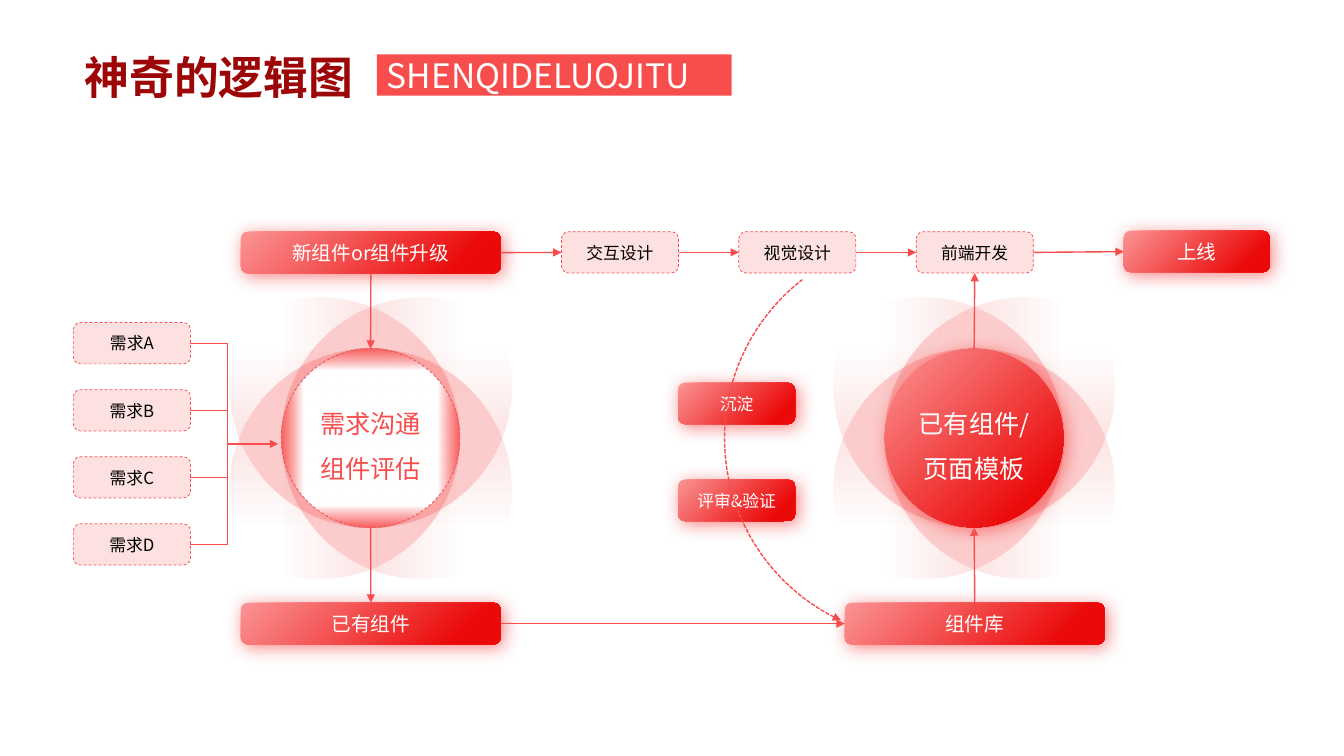
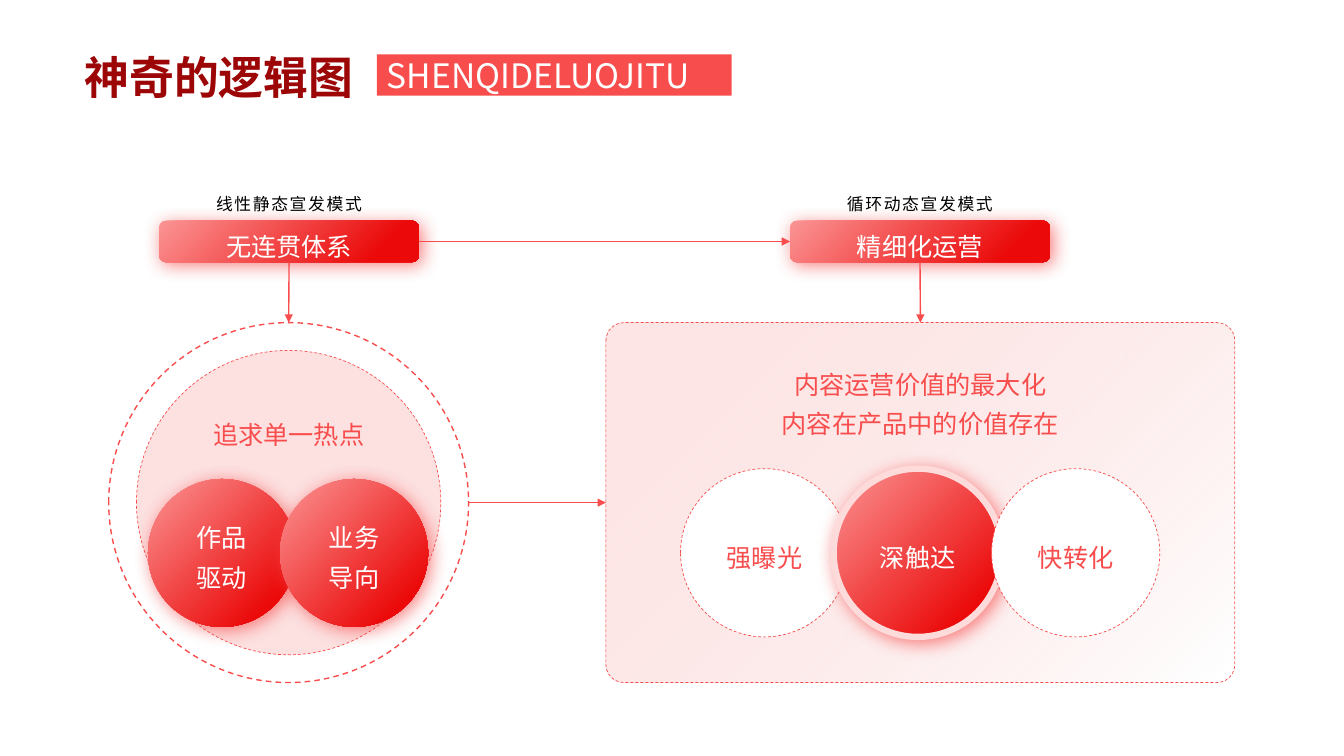
from lxml import etree
from pptx import Presentation
from pptx.dml.color import RGBColor
from pptx.enum.dml import MSO_LINE
from pptx.enum.shapes import MSO_CONNECTOR, MSO_SHAPE
from pptx.enum.text import MSO_ANCHOR, PP_ALIGN
from pptx.oxml.ns import qn
from pptx.util import Cm, Pt

ROUNDED, OVAL, RECT, ARC = (MSO_SHAPE.ROUNDED_RECTANGLE, MSO_SHAPE.OVAL,
                            MSO_SHAPE.RECTANGLE, MSO_SHAPE.ARC)
STRAIGHT = MSO_CONNECTOR.STRAIGHT
DASH, FINE_DASH = MSO_LINE.DASH, MSO_LINE.SQUARE_DOT
LEFT, CENTER = PP_ALIGN.LEFT, PP_ALIGN.CENTER
TOP, MIDDLE = MSO_ANCHOR.TOP, MSO_ANCHOR.MIDDLE

SC, JP = "Noto Sans CJK SC", "Noto Sans CJK JP"
COLORS = {
    "accent": "F84D4D", "deep": "9C0606", "light": "FB9494", "vivid": "EB0909",
    "blush": "FCB8B8", "halo": "FEDBDB", "white": "FFFFFF", "black": "000000",
}
RED = {"stops": [(0, "light", 100), (84, "vivid", 100)], "angle": 45}
PANEL = {"stops": [(0, "light", 24), (100, "vivid", 0)], "angle": 45}
GLOW = {"stops": [(75, "white", 100), (100, "accent", 77)], "angle": None}
TITLE = {"stops": [(0, "deep", 100), (100, "accent", 100)], "angle": 225}
PETAL_STOPS = [(0, "accent", 30), (63, "accent", 0)]

NODE = (2.95, 1.04)
BAR = (6.55, 1.05)
PETAL = 7.09


def rgb(name):
    """Return the named colour."""
    return RGBColor.from_string(COLORS[name])


def child(parent, tag, **attributes):
    """Append a drawing element with the given attributes."""
    element = etree.SubElement(parent, qn(f"a:{tag}"))
    for key, value in attributes.items():
        element.set(key, str(value))
    return element


def gradient(parent, stops, angle):
    """Append a linear gradient, or one along the outline if angle is None."""
    fill = child(parent, "gradFill", rotWithShape=1)
    stop_list = child(fill, "gsLst")
    for position, name, alpha in stops:
        stop = child(stop_list, "gs", pos=position * 1000)
        color = child(stop, "srgbClr", val=COLORS[name])
        if alpha < 100:
            child(color, "alpha", val=alpha * 1000)
    if angle is None:
        outline = child(fill, "path", path="shape")
        child(outline, "fillToRect", l=50000, t=50000, r=50000, b=50000)
    else:
        child(fill, "lin", ang=angle * 60000, scaled=0)
    return fill


def write(frame, text, size=12, font=JP, color="black", bold=False, align=CENTER,
          anchor=MIDDLE, spacing=1.0, tracking=0, inset=(0, 0), grade=None):
    """Fill a text frame, one paragraph per line of text."""
    frame.word_wrap = True
    frame.vertical_anchor = anchor
    frame.margin_left = frame.margin_right = Cm(inset[0])
    frame.margin_top = frame.margin_bottom = Cm(inset[1])
    for index, line in enumerate(text.split("\n")):
        paragraph = frame.add_paragraph() if index else frame.paragraphs[0]
        paragraph.alignment = align
        paragraph.line_spacing = spacing
        run = paragraph.add_run()
        run.text = line
        run.font.size, run.font.bold, run.font.name = Pt(size), bold, font
        properties = run.font._element
        if grade:
            properties.insert(0, gradient(properties, **grade))
        else:
            run.font.color.rgb = rgb(color)
        child(properties, "ea", typeface=font)
        if tracking:
            properties.set("spc", str(round(tracking * 100)))


def label(slide, box, text, **style):
    """Place free text in a box."""
    write(slide.shapes.add_textbox(*map(Cm, box)).text_frame, text, **style)


def part(slide, kind, box, fill=None, alpha=100, line=None, width=0.5, dash=None,
         shadow=False, text=None, **style):
    """Place a preset shape with its fill, outline, shadow and text."""
    shape = slide.shapes.add_shape(kind, *map(Cm, box))
    shape.shadow.inherit = False
    properties = shape.element.spPr
    if fill is None:
        shape.fill.background()
    else:
        shape.fill.solid()
        shape.fill.fore_color.rgb = rgb("accent" if isinstance(fill, dict) else fill)
        solid = properties.find(qn("a:solidFill"))
        if isinstance(fill, dict):
            properties.replace(solid, gradient(properties, **fill))
        elif alpha < 100:
            child(solid[0], "alpha", val=alpha * 1000)
    if line:
        shape.line.color.rgb = rgb(line)
        shape.line.width = Pt(width)
        if dash:
            shape.line.dash_style = dash
    else:
        shape.line.fill.background()
    if shadow:
        effects = properties.find(qn("a:effectLst"))
        outer = child(effects, "outerShdw", blurRad=Pt(13), dist=Pt(3),
                      dir=45 * 60000, algn="tl", rotWithShape=0)
        child(child(outer, "srgbClr", val=COLORS["accent"]), "alpha", val=70000)
    if text:
        write(shape.text_frame, text, **style)
    return shape


def red(slide, kind, box, text, **options):
    """Place a glowing red shape with white text."""
    part(slide, kind, box, RED, shadow=True, text=text, color="white", **options)
    return box


def pale(slide, kind, box, text=None):
    """Place a pale shape with a dashed outline."""
    part(slide, kind, box, "blush", 43, "accent", dash=DASH, text=text)
    return box


def edge(box, across, down):
    """Return the point at the given fractions of a box."""
    left, top, width, height = box
    return left + across * width, top + down * height


def link(slide, start, end, arrow=True):
    """Draw a straight line between two points."""
    connector = slide.shapes.add_connector(STRAIGHT, *map(Cm, (*start, *end)))
    connector.line.color.rgb = rgb("accent")
    connector.line.width = Pt(1)
    if arrow:
        child(connector.line._get_or_add_ln(), "tailEnd", type="triangle")
    child(connector.element.spPr, "effectLst")


def link_right(slide, source, target):
    """Draw an arrow from the right side of a box to the left of another."""
    link(slide, edge(source, 1, 0.5), edge(target, 0, 0.5))


def link_down(slide, source, target):
    """Draw an arrow from the bottom of a box to the top of another."""
    link(slide, edge(source, 0.5, 1), edge(target, 0.5, 0))


def link_up(slide, source, target):
    """Draw an arrow from the top of a box to the bottom of another."""
    link(slide, edge(source, 0.5, 0), edge(target, 0.5, 1))


def header(slide, box):
    """Place the title and the band beside it."""
    left, top, width, height = box
    label(slide, box, "神奇的逻辑图", size=32, font=SC, bold=True, align=LEFT,
          anchor=TOP, inset=(0.25, 0.13), grade=TITLE)
    part(slide, RECT, (left + 7.62, top + 0.25, 8.94, 1.04), "accent",
         text="SHENQIDELUOJITU", size=24, color="white", align=LEFT, inset=(0.25, 0))


def petals(slide, hub):
    """Place four fading petals around a hub."""
    left, top, side, _ = hub
    overhang = PETAL - side
    for across, down, angle in ((1, 0.5, 180), (0, 0.5, 0), (0.5, 0, 90), (0.5, 1, 270)):
        part(slide, OVAL, (left - across * overhang, top - down * overhang, PETAL, PETAL),
             {"stops": PETAL_STOPS, "angle": angle})


def demands(slide, box, target):
    """Stack the demands and gather them into one arrow."""
    left, top, width, height = box
    spine = left + width + 0.94
    pitch = (height - NODE[1]) / 3
    middles = []
    for index, letter in enumerate("ABCD"):
        demand = pale(slide, ROUNDED, (left, top + index * pitch, *NODE), f"需求{letter}")
        start = edge(demand, 1, 0.5)
        middles.append(start[1])
        link(slide, start, (spine, start[1]), arrow=False)
    link(slide, (spine, middles[0]), (spine, middles[-1]), arrow=False)
    center = edge(box, 0, 0.5)[1]
    link(slide, (spine, center), (target[0] - 0.08, center))


def deposit(slide, box):
    """Place the curve from design to library and its two steps."""
    left, top, _, _ = box
    for text, offset in (("沉淀", 3.66), ("评审&验证", 6.1)):
        red(slide, ROUNDED, (left - 1.17, top + offset, *NODE), text)
    curve = part(slide, ARC, box, line="accent", width=1, dash=FINE_DASH)
    curve.adjustments[0], curve.adjustments[1] = 68.86, 139.34
    child(curve.line._get_or_add_ln(), "headEnd", type="triangle")


def component_slide(slide):
    """Build the flow from demands to launch."""
    review, template = (7.09, 8.79, 4.5, 4.5), (22.3, 8.79, 4.5, 4.5)
    for hub in (review, template):
        petals(slide, hub)
    deposit(slide, (18.26, 5.99, 10.11, 10.11))
    part(slide, OVAL, review, GLOW, line="accent", dash=DASH, text="需求沟通\n组件评估",
         size=18, font=SC, color="accent", spacing=1.5)
    red(slide, OVAL, template, "已有组件/\n页面模板", size=18, font=SC, spacing=1.5)
    upgrade = red(slide, ROUNDED, (6.07, 5.84, *BAR), "新组件or组件升级", size=14)
    existing = red(slide, ROUNDED, (6.07, 15.19, *BAR), "已有组件", size=14)
    library = red(slide, ROUNDED, (21.29, 15.19, *BAR), "组件库", size=14)
    launch = red(slide, ROUNDED, (28.32, 5.82, 3.68, 1.04), "上线", size=14)
    steps = [pale(slide, ROUNDED, (14.15 + index * 4.47, 5.84, *NODE), text)
             for index, text in enumerate(("交互设计", "视觉设计", "前端开发"))]
    demands(slide, (1.85, 8.13, 2.95, 6.11), review)
    row = [upgrade, *steps, launch]
    for source, target in [*zip(row, row[1:]), (existing, library)]:
        link_right(slide, source, target)
    for source, target in ((upgrade, review), (review, existing)):
        link_down(slide, source, target)
    for source, target in ((library, template), (template, steps[-1])):
        link_up(slide, source, target)


def mode(slide, box, caption, text):
    """Place a mode bar with its caption above."""
    left, top, width, _ = box
    label(slide, (left, top - 0.84, width, 0.64), caption, anchor=TOP, spacing=1.3,
          tracking=1.2)
    return red(slide, ROUNDED, box, text, size=18, font=SC, spacing=1.3)


def hotspot(slide, box):
    """Place the ringed circle with its two drivers."""
    left, top, side, _ = box
    pale(slide, OVAL, (left + 0.7, top + 0.7, side - 1.4, side - 1.4))
    for text, offset in (("作品\n驱动", 0.99), ("业务\n导向", 4.32)):
        red(slide, OVAL, (left + offset, top + 3.94, 3.73, 3.73), text, size=18, spacing=1.3)
    part(slide, OVAL, box, line="accent", width=1, dash=DASH)
    label(slide, (left + 1.9, top + 2.21, side - 3.8, 1.09), "追求单一热点", size=18,
          color="accent", anchor=TOP, spacing=1.3)


def value_panel(slide, box):
    """Place the value panel with its three discs."""
    left, top, width, _ = box
    panel = part(slide, ROUNDED, box, PANEL, line="accent", dash=DASH)
    panel.adjustments[0] = 0.05
    label(slide, (left + 1.8, top + 0.94, width - 3.6, 2.34),
          "内容运营价值的最大化\n内容在产品中的价值存在", size=18, color="accent",
          anchor=TOP, spacing=1.3)
    for text, offset in (("强曝光", 1.88), ("深触达", 5.74), ("快转化", 9.72)):
        disc = (left + offset, top + 3.68, 4.24, 4.24)
        if text == "深触达":
            red(slide, OVAL, disc, text, line="halo", width=4.5, size=18, spacing=1.3)
        else:
            part(slide, OVAL, disc, "white", line="accent", dash=DASH, text=text,
                 size=18, color="accent", spacing=1.3)


def operation_slide(slide):
    """Build the comparison of two operating modes."""
    ring, panel = (2.74, 8.13, 9.07, 9.07), (15.27, 8.13, 15.85, 9.07)
    static = mode(slide, (4.01, 5.56, *BAR), "线性静态宣发模式", "无连贯体系")
    dynamic = mode(slide, (19.91, 5.56, *BAR), "循环动态宣发模式", "精细化运营")
    hotspot(slide, ring)
    value_panel(slide, panel)
    for source, target in ((static, ring), (dynamic, panel)):
        link_down(slide, source, target)
    for source, target in ((static, dynamic), (ring, panel)):
        link_right(slide, source, target)


def main():
    """Build and save the presentation."""
    deck = Presentation()
    deck.slide_width, deck.slide_height = Cm(33.87), Cm(19.05)
    for build in (component_slide, operation_slide):
        slide = deck.slides.add_slide(deck.slide_layouts[6])
        build(slide)
        header(slide, (1.88, 1.12, 8.81, 1.63))
    deck.save("out.pptx")


if __name__ == "__main__":
    main()
